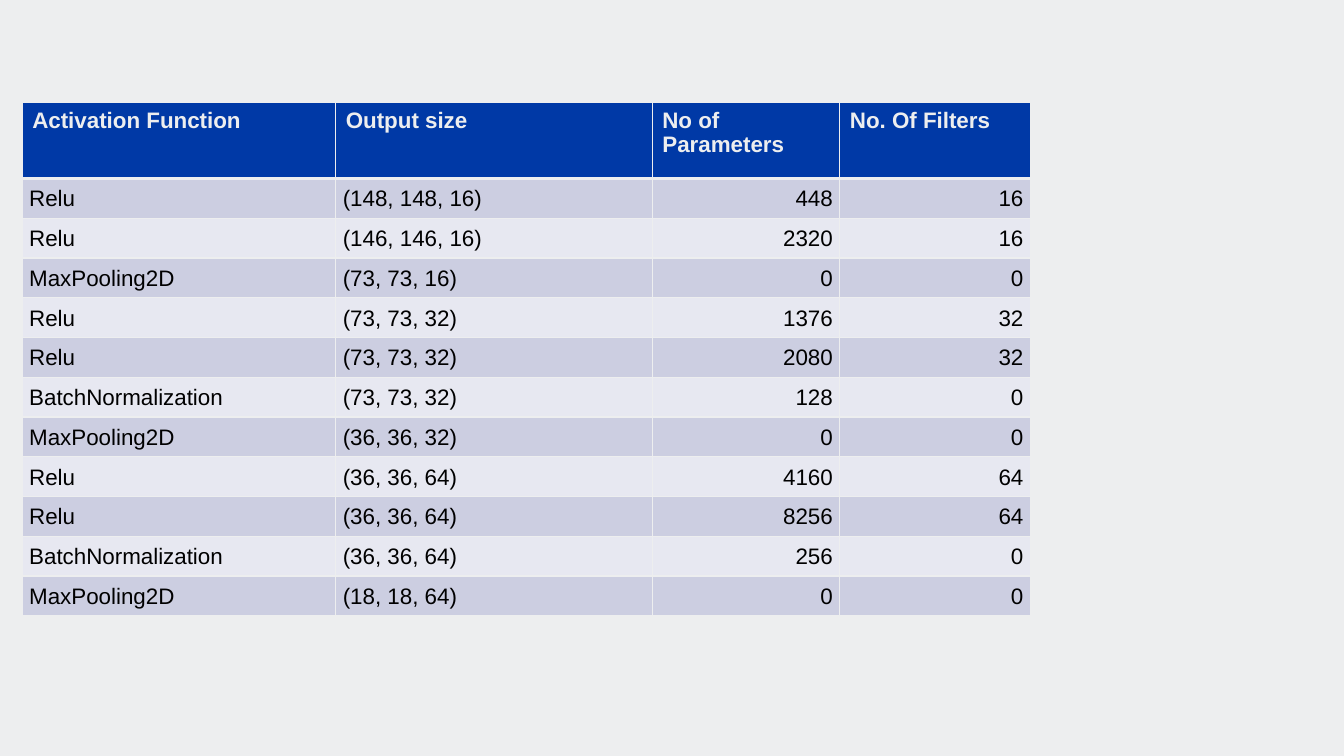
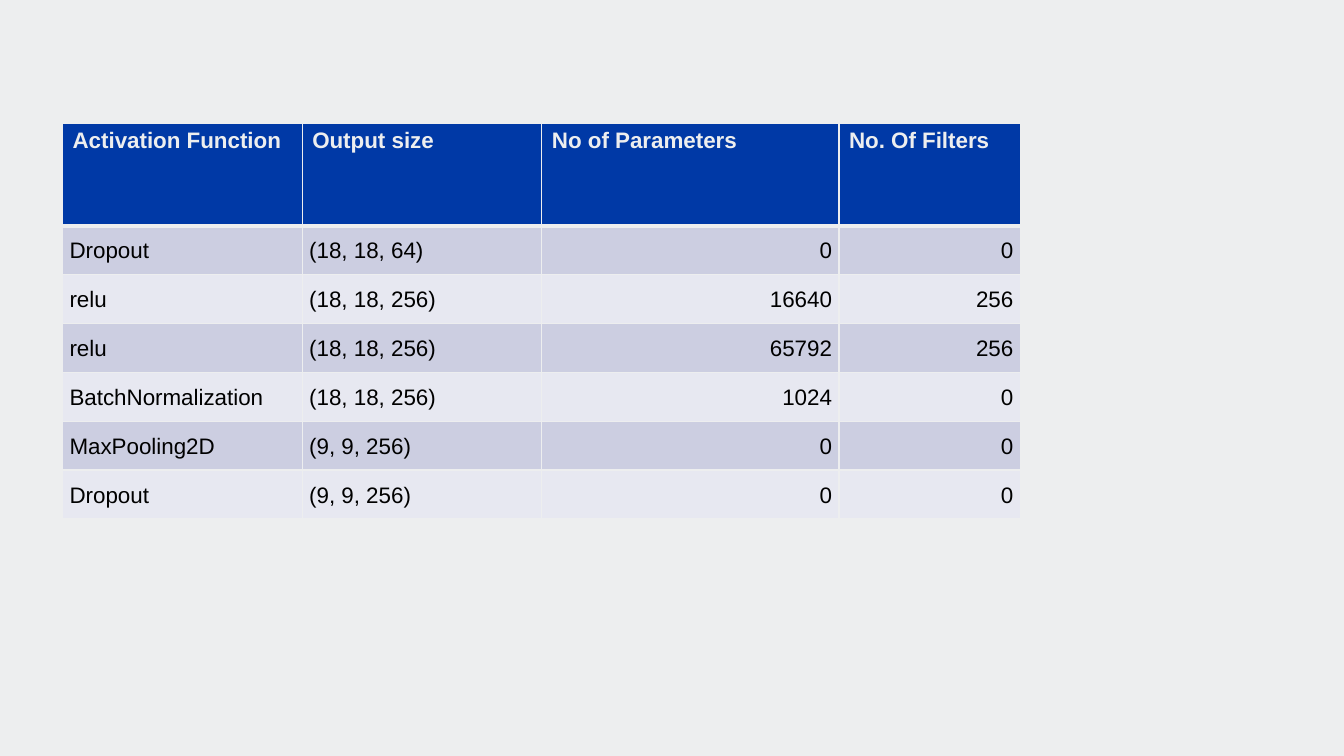
from lxml import etree
from pptx import Presentation
from pptx.dml.color import RGBColor
from pptx.enum.text import MSO_ANCHOR, PP_ALIGN
from pptx.oxml.ns import qn
from pptx.util import Inches, Pt

LEFT, RIGHT = PP_ALIGN.LEFT, PP_ALIGN.RIGHT
TOP, MIDDLE = MSO_ANCHOR.TOP, MSO_ANCHOR.MIDDLE

COLORS = {
    "background": "EDEEEF",
    "header": "0039A6",
    "odd_row": "CCCEE1",
    "even_row": "E7E8F1",
    "text": "000000",
}
FONT = "Arial"
FONT_SIZE = 16
THIN, THICK = 1, 3
HEADINGS = ("Activation Function", "Output size", "No of Parameters", "No. Of Filters")
ALIGNMENTS = (LEFT, LEFT, RIGHT, RIGHT)

CONVOLUTION_LAYERS = [
    ("Relu", "(148, 148, 16)", "448", "16"),
    ("Relu", "(146, 146, 16)", "2320", "16"),
    ("MaxPooling2D", "(73, 73, 16)", "0", "0"),
    ("Relu", "(73, 73, 32)", "1376", "32"),
    ("Relu", "(73, 73, 32)", "2080", "32"),
    ("BatchNormalization", "(73, 73, 32)", "128", "0"),
    ("MaxPooling2D", "(36, 36, 32)", "0", "0"),
    ("Relu", "(36, 36, 64)", "4160", "64"),
    ("Relu", "(36, 36, 64)", "8256", "64"),
    ("BatchNormalization", "(36, 36, 64)", "256", "0"),
    ("MaxPooling2D", "(18, 18, 64)", "0", "0"),
]
FINAL_LAYERS = [
    ("Dropout", "(18, 18, 64)", "0", "0"),
    ("relu", "(18, 18, 256)", "16640", "256"),
    ("relu", "(18, 18, 256)", "65792", "256"),
    ("BatchNormalization", "(18, 18, 256)", "1024", "0"),
    ("MaxPooling2D", "(9, 9, 256)", "0", "0"),
    ("Dropout", "(9, 9, 256)", "0", "0"),
]


def color(name):
    """Return the named palette colour."""
    return RGBColor.from_string(COLORS[name])


def set_borders(cell, top, bottom):
    """Draw the four cell borders, with the given top and bottom weights."""
    properties = cell._tc.get_or_add_tcPr()
    for side, weight in (("L", THIN), ("R", THIN), ("T", top), ("B", bottom)):
        line = etree.SubElement(properties, qn(f"a:ln{side}"), w=str(Pt(weight)))
        fill = etree.SubElement(line, qn("a:solidFill"))
        etree.SubElement(fill, qn("a:srgbClr"), val=COLORS["background"])


def format_cell(cell, text, fill, is_header, alignment):
    """Write a cell's text and give it its fill and type style."""
    cell.fill.solid()
    cell.fill.fore_color.rgb = color(fill)
    cell.vertical_anchor = TOP if is_header else MIDDLE
    if not is_header:
        cell.margin_left = cell.margin_right = Inches(0.07)
        cell.margin_top = cell.margin_bottom = 0
    paragraph = cell.text_frame.paragraphs[0]
    paragraph.text = text
    paragraph.alignment = LEFT if is_header else alignment
    paragraph.line_spacing = 1.0 if is_header else 1.07
    font = paragraph.runs[0].font
    font.name, font.size, font.bold = FONT, Pt(FONT_SIZE), is_header
    font.color.rgb = color("background" if is_header else "text")


def add_layer_table(slide, box, column_widths, header_height, layers):
    """Fill a box with a banded table of network layers."""
    left, top, width, height = (Inches(length) for length in box)
    rows = [HEADINGS, *layers]
    table = slide.shapes.add_table(
        len(rows), len(HEADINGS), left, top, width, height
    ).table
    for column, column_width in zip(table.columns, column_widths):
        column.width = round(width * column_width / sum(column_widths))
    body_height = (height - Inches(header_height)) // len(layers)
    for row_index, values in enumerate(rows):
        is_header = row_index == 0
        table.rows[row_index].height = Inches(header_height) if is_header else body_height
        band = "odd_row" if row_index % 2 else "even_row"
        fill = "header" if is_header else band
        top_weight = THICK if row_index == 1 else THIN
        bottom_weight = THICK if is_header else THIN
        for column_index, text in enumerate(values):
            cell = table.cell(row_index, column_index)
            set_borders(cell, top_weight, bottom_weight)
            format_cell(cell, text, fill, is_header, ALIGNMENTS[column_index])


def main():
    """Build the two layer slides and save them."""
    presentation = Presentation()
    presentation.slide_width, presentation.slide_height = Inches(13.33), Inches(7.5)
    background = presentation.slide_master.background.fill
    background.solid()
    background.fore_color.rgb = color("background")
    blank_layout = presentation.slide_layouts[6]
    tables = (
        ((0.22, 1.02, 10, 5.09), (3.11, 3.14, 1.86, 1.89), 0.75, CONVOLUTION_LAYERS),
        ((0.62, 1.22, 9.5, 3.93), (2.38, 2.38, 2.95, 1.8), 1.02, FINAL_LAYERS),
    )
    for table in tables:
        add_layer_table(presentation.slides.add_slide(blank_layout), *table)
    presentation.save("out.pptx")


if __name__ == "__main__":
    main()
